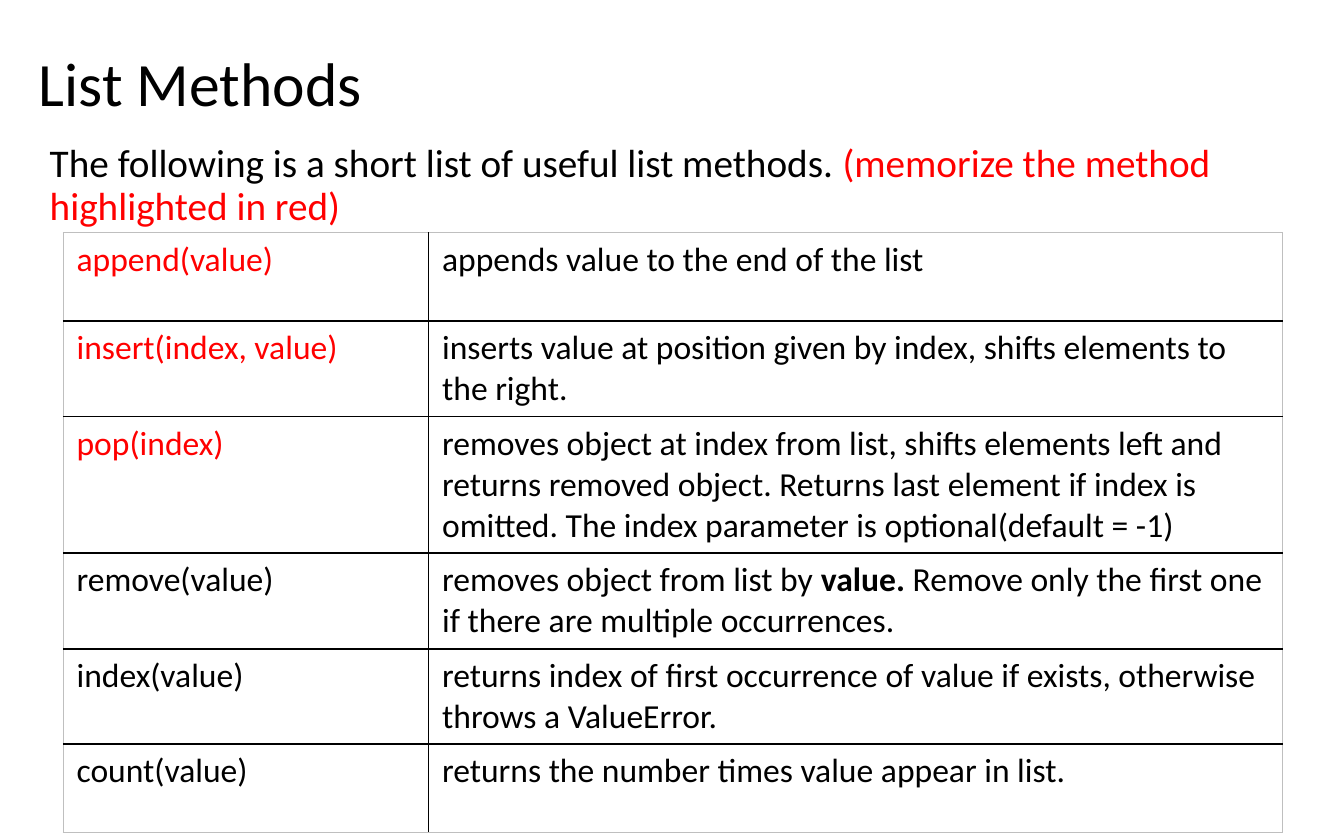
from pptx import Presentation
from pptx.dml.color import RGBColor
from pptx.enum.text import MSO_ANCHOR as Anchor, MSO_AUTO_SIZE as AutoSize, PP_ALIGN as Align
from pptx.oxml import parse_xml
from pptx.oxml.ns import nsdecls
from pptx.util import Inches, Pt

WIDTH, HEIGHT = 10, 6.25
BLACK, RED, GRAY = "000000", "FF0000", "BFBFBF"

METHODS = [
    ("append(value)", RED, [("appends value to the end of the list", False)]),
    ("insert(index, value)", RED,
     [("inserts value at position given by index, shifts elements to the right.", False)]),
    ("pop(index)", RED,
     [("removes object at index from list, shifts elements left and returns removed object. "
       "Returns last element if index is omitted. "
       "The index parameter is optional(default = -1)", False)]),
    ("remove(value)", BLACK,
     [("removes object from list by ", False), ("value. ", True),
      ("Remove only the first one if there are multiple occurrences.", False)]),
    ("index(value)", BLACK,
     [("returns index of first occurrence of value if exists, "
       "otherwise throws a ValueError.", False)]),
    ("count(value)", BLACK, [("returns the number times value appear in list.", False)]),
]


def color(value):
    return RGBColor.from_string(value)


class SlideBuilder:
    """Holds the text style and the slide being filled."""

    font = "Calibri"

    def __init__(self, presentation):
        self.slide = presentation.slides.add_slide(presentation.slide_layouts[1])

    def add_runs(self, paragraph, runs, size):
        """Add (text, colour, bold) runs."""
        for text, tint, bold in runs:
            run = paragraph.add_run()
            run.text = text
            run.font.name = self.font
            run.font.size = Pt(size)
            run.font.bold = bold
            run.font.color.rgb = color(tint)

    def fill_placeholder(self, index, box, runs, size, anchor):
        shape = self.slide.placeholders[index]
        shape.left, shape.top, shape.width, shape.height = map(Inches, box)
        frame = shape.text_frame
        frame.word_wrap = True
        frame.auto_size = AutoSize.NONE
        frame.vertical_anchor = anchor
        paragraph = frame.paragraphs[0]
        properties = paragraph._p.get_or_add_pPr()
        properties.set("marL", "0")
        properties.set("indent", "0")
        properties.append(parse_xml(f"<a:buNone {nsdecls('a')}/>"))
        paragraph.alignment = Align.LEFT
        paragraph.line_spacing = 0.9
        paragraph.space_before = Pt(0)
        self.add_runs(paragraph, runs, size)

    def title(self, box, text):
        self.fill_placeholder(0, box, [(text, BLACK, False)], 33, Anchor.MIDDLE)

    def body(self, box, runs):
        self.fill_placeholder(1, box, runs, 21, Anchor.TOP)

    def border(self, cell, side, tint, width):
        cell._tc.get_or_add_tcPr().append(parse_xml(
            f'<a:ln{side} {nsdecls("a")} w="{Pt(width)}"><a:solidFill>'
            f'<a:srgbClr val="{tint}"/></a:solidFill></a:ln{side}>'))

    def table(self, left, top, column_widths, row_height, rows):
        """Draw black inner rules and a thin gray frame around the rows."""
        row_count, column_count = len(rows), len(column_widths)
        table = self.slide.shapes.add_table(
            row_count, column_count, Inches(left), Inches(top),
            Inches(sum(column_widths)), Inches(row_height * row_count)).table
        table.first_row = table.horz_banding = False
        for column, width in zip(table.columns, column_widths):
            column.width = Inches(width)
        for r, cells in enumerate(rows):
            table.rows[r].height = Inches(row_height)
            for c, runs in enumerate(cells):
                cell = table.cell(r, c)
                outer = {"L": c == 0, "R": c == column_count - 1,
                         "T": r == 0, "B": r == row_count - 1}
                for side, on_frame in outer.items():
                    self.border(cell, side, *((GRAY, 0.5) if on_frame else (BLACK, 1)))
                cell.fill.background()
                self.add_runs(cell.text_frame.paragraphs[0], runs, 18)


def main():
    presentation = Presentation()
    presentation.slide_width, presentation.slide_height = Inches(WIDTH), Inches(HEIGHT)
    builder = SlideBuilder(presentation)
    builder.title((0.19, 0.27, 7.71, 0.75), "List Methods")
    builder.body((0.27, 1.02, 9.54, 5.09), [
        ("The following is a short list of useful list methods. ", BLACK, False),
        ("(memorize the method highlighted in red)", RED, False)])
    rows = [([(name, tint, False)], [(text, BLACK, bold) for text, bold in description])
            for name, tint, description in METHODS]
    builder.table(0.47, 1.73, (2.72, 6.35), 0.66, rows)
    presentation.save("out.pptx")


if __name__ == "__main__":
    main()
